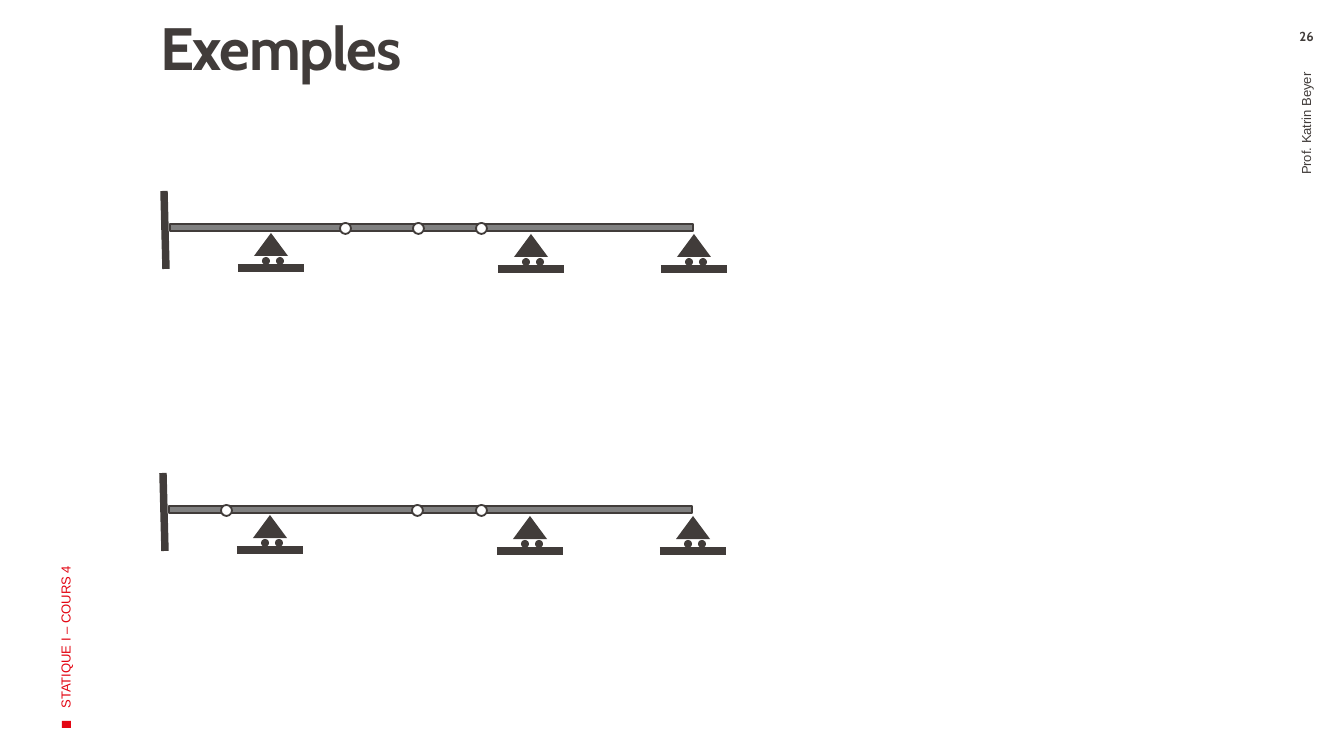
import pptx
import pptx.util
import pptx.dml.color
import pptx.enum.shapes
import pptx.enum.text
import pptx.oxml.ns
import lxml.etree

RGB = pptx.dml.color.RGBColor
SHAPE = pptx.enum.shapes.MSO_SHAPE
ALIGN = pptx.enum.text.PP_ALIGN
ANCHOR = pptx.enum.text.MSO_ANCHOR
DARK = RGB(0x41, 0x3C, 0x3A)
GREY = RGB(0x80, 0x80, 0x80)
RED = RGB(0xE3, 0x06, 0x13)
WHITE = RGB(0xFF, 0xFF, 0xFF)
SCALE = 914400 / 134.4  # EMU per px

# Content: left and top of each beam, and the x of its hinges from the left end
TITLE = "Exemples"
BEAMS = [
    {"left": 170, "top": 224, "hinges": (175, 248, 311)},
    {"left": 169, "top": 506, "hinges": (57, 248, 312)},
]
SUPPORTS = [(101, 9), (361, 10), (524, 10)]  # apex of each roller, from the beam's corner
BEAM_LENGTH, BEAM_DEPTH = 523, 7
# text, box, rotation, font, bold, colour, alignment, anchor, insets (left, top, right, bottom)
LABELS = [
    ("STATIQUE I – COURS 4", (-180, 409, 491, 134), 270, "Arial", False, RED,
     ALIGN.LEFT, ANCHOR.MIDDLE, (13, 7, 13, 7)),
    ("Prof. Katrin Beyer", (1046, 276, 520, 75), 270, "Arial", False, DARK,
     ALIGN.RIGHT, ANCHOR.MIDDLE, (13, 7, 19, 7)),
    ("26", (1269, 28, 75, 24), 0, "Cabin", True, DARK,
     ALIGN.CENTER, ANCHOR.TOP, (13, 0, 13, 0)),
]


def px(n):
    return round(n * SCALE)


def set_frame(tf, anchor, insets):
    tf.word_wrap = True
    tf.vertical_anchor = anchor
    tf.margin_left, tf.margin_top, tf.margin_right, tf.margin_bottom = map(px, insets)


def set_font(p, name, size, bold, color):
    p.font.name = name
    p.font.size = pptx.util.Pt(size)
    p.font.bold = bold
    p.font.color.rgb = color


def add_shape(s, kind, x, y, w, h, fill, outlined=False):
    sp = s.shapes.add_shape(kind, px(x), px(y), px(w), px(h))
    sp.shadow.inherit = False
    sp.fill.solid()
    sp.fill.fore_color.rgb = fill
    if outlined:
        sp.line.color.rgb = DARK
        sp.line.width = pptx.util.Pt(1)
    else:
        sp.line.fill.background()


def add_line(s, x1, y1, x2, y2):
    line = s.shapes.add_connector(pptx.enum.shapes.MSO_CONNECTOR.STRAIGHT,
                                  px(x1), px(y1), px(x2), px(y2))
    line.line.color.rgb = DARK
    line.line.width = pptx.util.Pt(4)
    lxml.etree.SubElement(line._element.spPr, pptx.oxml.ns.qn("a:effectLst"))


def add_support(s, x, y):
    """Roller support with its apex at x, y."""
    add_shape(s, SHAPE.ISOSCELES_TRIANGLE, x - 17, y, 34, 23, DARK)
    add_line(s, x - 33, y + 35, x + 33, y + 35)
    for dx in (-9, 5):
        add_shape(s, SHAPE.OVAL, x + dx, y + 24, 8, 8, DARK)


def add_beam(s, left, top, hinges):
    add_shape(s, SHAPE.RECTANGLE, left, top, BEAM_LENGTH, BEAM_DEPTH, GREY, True)
    add_line(s, left - 6, top - 33, left - 4, top + 45)  # fixed end
    for dx, dy in SUPPORTS:
        add_support(s, left + dx, top + dy)
    for dx in hinges:
        add_shape(s, SHAPE.OVAL, left + dx - 5, top - 1, 11, 11, WHITE, True)


def main():
    prs = pptx.Presentation()
    prs.slide_width, prs.slide_height = px(1344), px(756)
    s = prs.slides.add_slide(prs.slide_layouts[5])

    # Title
    title = s.shapes.title
    title.left, title.top, title.width, title.height = map(px, (133, 19, 1031, 157))
    tf = title.text_frame
    set_frame(tf, ANCHOR.TOP, (27, 0, 11, 7))
    tf.auto_size = pptx.enum.text.MSO_AUTO_SIZE.NONE
    p = tf.paragraphs[0]
    r = p.add_run()
    r.text = TITLE
    r.font._element.set("spc", "-70")
    p.alignment = ALIGN.LEFT
    p.line_spacing = 0.9
    set_font(p, "Cabin", 32, True, DARK)

    # Margin labels and red marker
    add_shape(s, SHAPE.RECTANGLE, 62, 721, 9, 7, RED)
    for text, box, rotation, font, bold, color, align, anchor, insets in LABELS:
        sp = s.shapes.add_textbox(*map(px, box))
        sp.rotation = rotation
        set_frame(sp.text_frame, anchor, insets)
        p = sp.text_frame.paragraphs[0]
        p.text = text
        p.alignment = align
        set_font(p, font, 7, bold, color)

    # Beams
    for beam in BEAMS:
        add_beam(s, **beam)

    prs.save("out.pptx")


if __name__ == "__main__":
    main()
